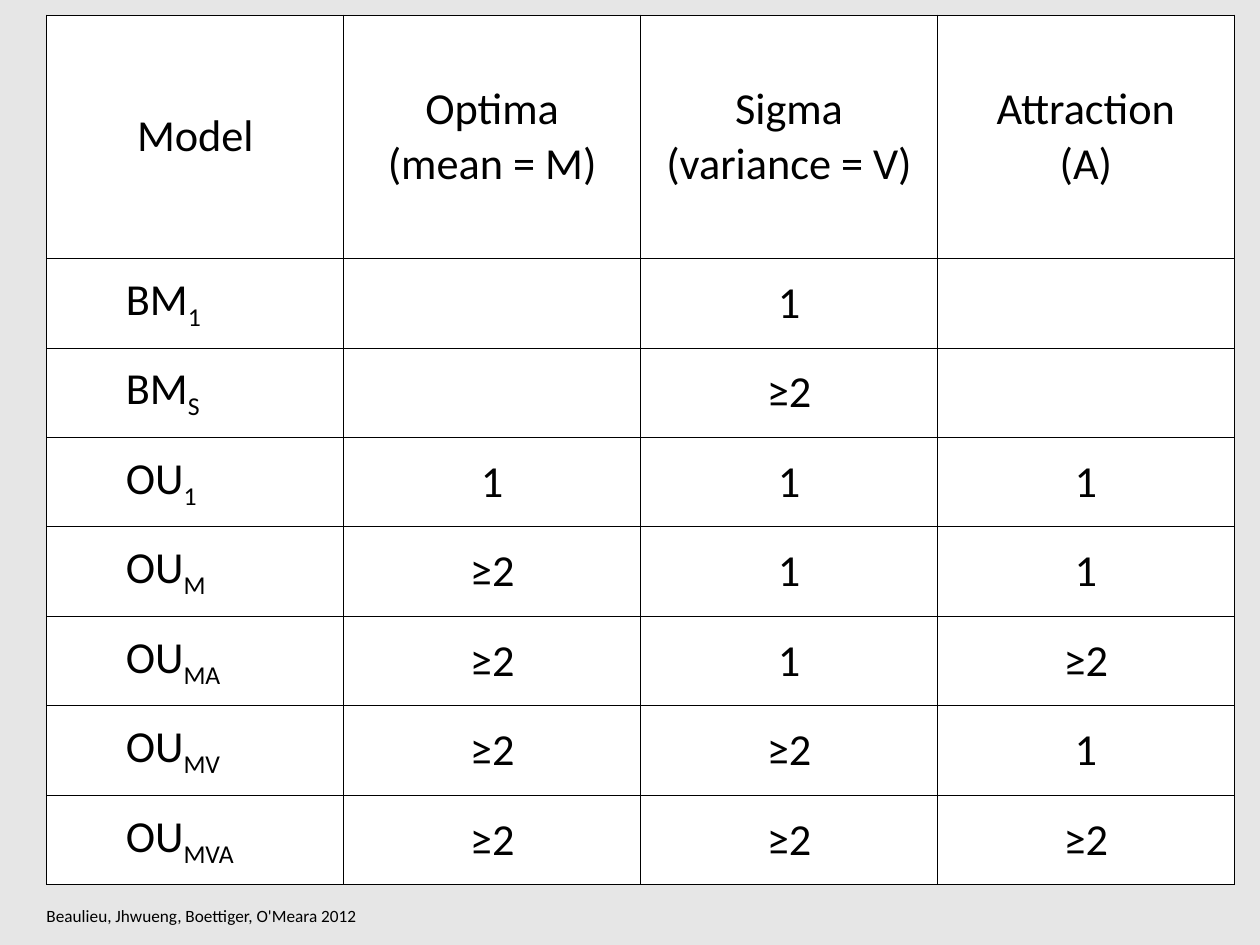
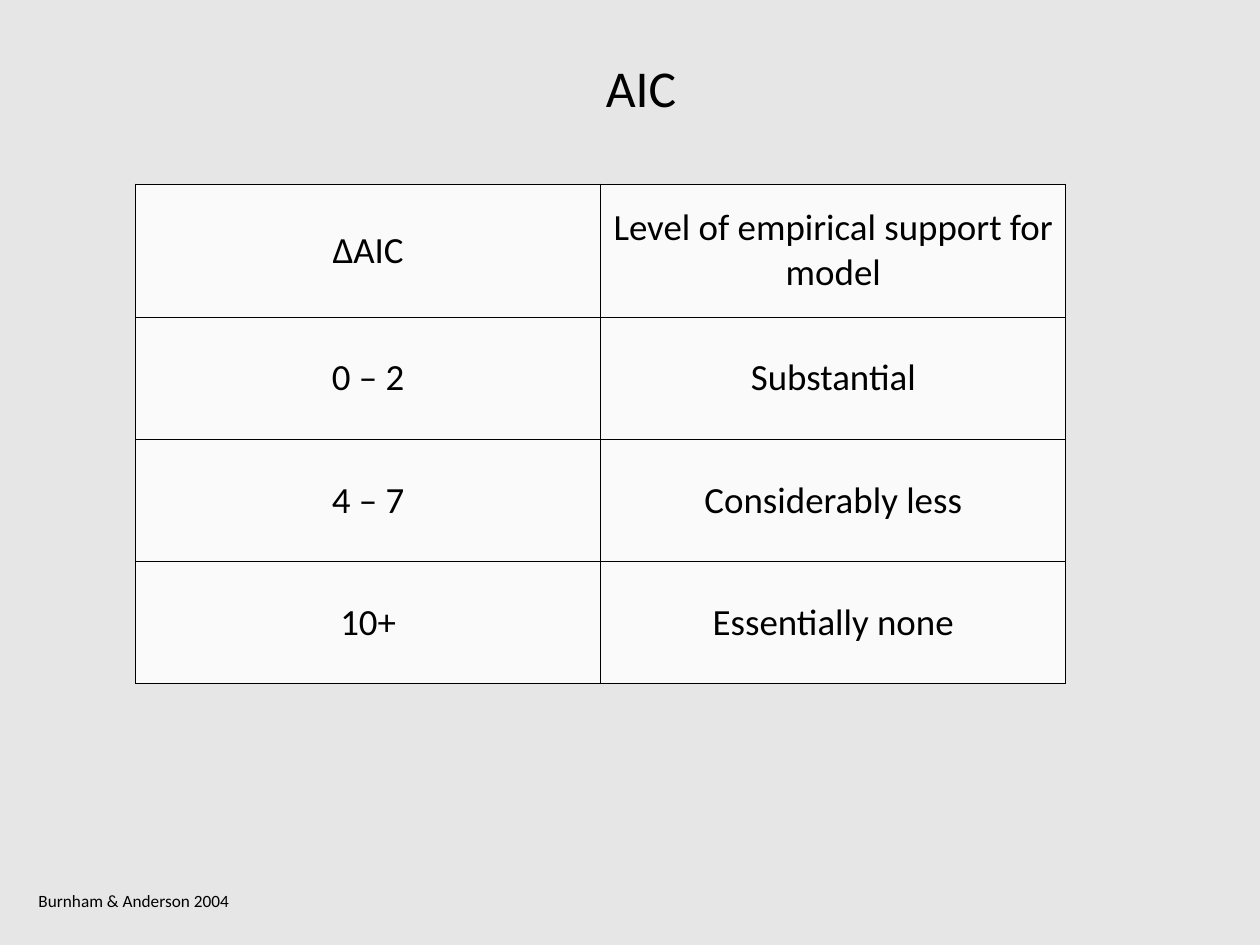
from pptx import Presentation
from pptx.dml.color import RGBColor
from pptx.enum.text import MSO_ANCHOR, PP_ALIGN
from pptx.oxml import parse_xml
from pptx.oxml.ns import nsdecls
from pptx.util import Inches, Pt

CENTER = PP_ALIGN.CENTER
LEFT = PP_ALIGN.LEFT
MIDDLE = MSO_ANCHOR.MIDDLE

BLACK = RGBColor(0x00, 0x00, 0x00)
WHITE = RGBColor(0xFF, 0xFF, 0xFF)
PALE_GREY = RGBColor(0xE6, 0xE6, 0xE6)
OFF_WHITE = RGBColor(0xFA, 0xFA, 0xFA)
FONT = "Calibri"

TITLE_ONLY, BLANK = 5, 6
BORDER_SIDES = ("lnL", "lnR", "lnT", "lnB")

MODEL_ROWS = [
    ("Model", "Optima\n(mean = M)", "Sigma\n(variance = V)", "Attraction\n(A)"),
    ("BM_1", "", "1", ""),
    ("BM_S", "", "≥2", ""),
    ("OU_1", "1", "1", "1"),
    ("OU_M", "≥2", "1", "1"),
    ("OU_MA", "≥2", "1", "≥2"),
    ("OU_MV", "≥2", "≥2", "1"),
    ("OU_MVA", "≥2", "≥2", "≥2"),
]
SUPPORT_ROWS = [
    ("∆AIC", "Level of empirical support for model"),
    ("0 – 2", "Substantial"),
    ("4 – 7", "Considerably less"),
    ("10+", "Essentially none"),
]


def style_paragraph(paragraph, size, align=CENTER):
    paragraph.alignment = align
    font = paragraph.font
    font.name, font.size, font.bold = FONT, Pt(size), False
    font.color.rgb = BLACK


def place(shape, left, top, width, height):
    shape.left, shape.top = Inches(left), Inches(top)
    shape.width, shape.height = Inches(width), Inches(height)


def add_title(page, text):
    title = page.shapes.title
    place(title, 2.86, 0.58, 8.75, 0.81)
    title.text_frame.text = text
    title.text_frame.vertical_anchor = MIDDLE
    style_paragraph(title.text_frame.paragraphs[0], 42)


def add_citation(page, text, left, top, width):
    box = page.shapes.add_textbox(
        Inches(left), Inches(top), Inches(width), Inches(0.34))
    box.text_frame.word_wrap = True
    box.text_frame.text = text
    style_paragraph(box.text_frame.paragraphs[0], 14)


def add_borders(cell):
    """Draw a thin black line on each side; lines must precede the fill."""
    properties = cell._tc.get_or_add_tcPr()
    for index, side in enumerate(BORDER_SIDES):
        properties.insert(index, parse_xml(
            f'<a:{side} {nsdecls("a")} w="12700"><a:solidFill>'
            f'<a:srgbClr val="{BLACK}"/></a:solidFill></a:{side}>'))


def write_cell(cell, text, size):
    """Centre the text; a label such as OU_M is indented, with a subscript."""
    base, _, subscript = text.partition("_")
    cell.text_frame.text = base
    cell.vertical_anchor = MIDDLE
    if subscript:
        cell.margin_left = Inches(0.89)
        span = cell.text_frame.paragraphs[0].add_run()
        span.text = subscript
        span._r.get_or_add_rPr().set("baseline", "-25000")
    for paragraph in cell.text_frame.paragraphs:
        style_paragraph(paragraph, size, LEFT if subscript else CENTER)


def add_grid(page, rows, left, top, column_width, header_height, row_height,
             size, fill):
    columns = len(rows[0])
    height = header_height + row_height * (len(rows) - 1)
    table = page.shapes.add_table(
        len(rows), columns, Inches(left), Inches(top),
        Inches(column_width * columns), Inches(height)).table
    table.first_row = table.horz_banding = False
    for column in table.columns:
        column.width = Inches(column_width)
    for index, texts in enumerate(rows):
        table.rows[index].height = Inches(row_height if index else header_height)
        for cell, text in zip(table.rows[index].cells, texts):
            write_cell(cell, text, size)
            cell.fill.solid()
            cell.fill.fore_color.rgb = fill
            add_borders(cell)


def build_models(deck):
    page = deck.slides.add_slide(deck.slide_layouts[BLANK])
    add_grid(page, MODEL_ROWS, 0.53, 0.17, 3.35, 2.75, 1.01, 36, WHITE)
    add_citation(page, "Beaulieu, Jhwueng, Boettiger, O'Meara 2012",
                 0.19, 10.17, 4.17)


def build_aic(deck):
    page = deck.slides.add_slide(deck.slide_layouts[TITLE_ONLY])
    add_title(page, "AIC")
    add_grid(page, SUPPORT_ROWS, 1.53, 2.08, 5.25, 1.5, 1.38, 30, OFF_WHITE)
    add_citation(page, "Burnham & Anderson 2004", 0, 10, 3.02)


def main():
    deck = Presentation()
    deck.slide_width, deck.slide_height = Inches(14.22), Inches(10.67)
    background = deck.slide_master.background.fill
    background.solid()
    background.fore_color.rgb = PALE_GREY
    build_models(deck)
    build_aic(deck)
    deck.save("out.pptx")


if __name__ == "__main__":
    main()
